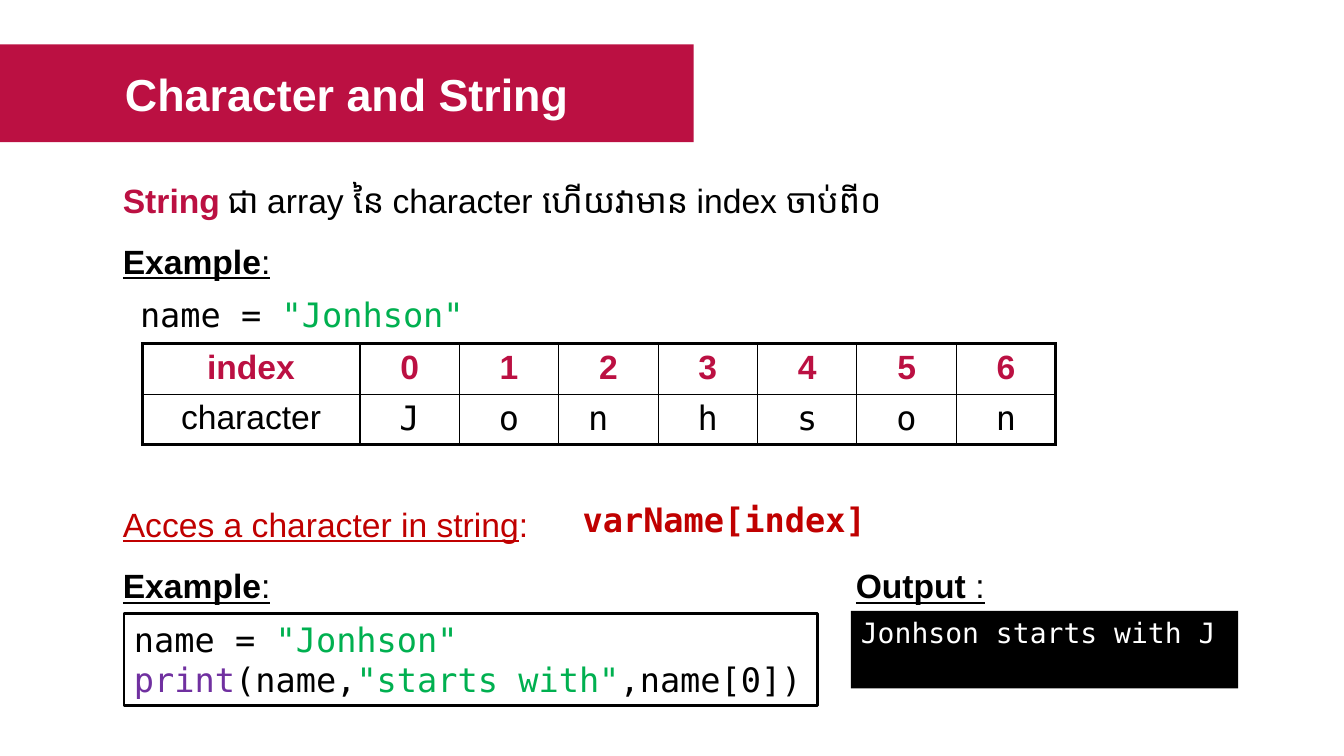
from pptx import Presentation
from pptx.dml.color import RGBColor
from pptx.enum.shapes import MSO_SHAPE
from pptx.enum.text import MSO_ANCHOR, PP_ALIGN
from pptx.oxml.ns import qn
from pptx.util import Inches, Pt
from lxml import etree

RECT = MSO_SHAPE.RECTANGLE
TOP, MIDDLE = MSO_ANCHOR.TOP, MSO_ANCHOR.MIDDLE
LEFT, CENTER, JUSTIFY = PP_ALIGN.LEFT, PP_ALIGN.CENTER, PP_ALIGN.JUSTIFY

SANS, MONO = "Arial", "DejaVu Sans Mono"
CRIMSON, RED, GREEN, PURPLE = "BB1042", "C00000", "00B050", "7030A0"
BLACK, WHITE = "000000", "FFFFFF"
THICK, THIN = 2.25, 1
MARGIN = 1.12

BODY = {"name": SANS, "size": Pt(24), "color": BLACK}
CODE = BODY | {"name": MONO}
HEADING = BODY | {"bold": True, "underline": True}
INDEX = BODY | {"color": CRIMSON, "bold": True}
ACCESS = BODY | {"color": RED}

ASSIGNMENT = [("name = ", CODE), ('"Jonhson"', CODE | {"color": GREEN})]
PRINT_CALL = [("print", CODE | {"color": PURPLE}), ("(name,", CODE),
              ('"starts with"', CODE | {"color": GREEN}), (",name[0])", CODE)]
LETTERS = ["J", "o", "n ", "h", "s", "o", "n"]


def rgb(hex_color):
    return RGBColor.from_string(hex_color)


def write(frame, lines, align=LEFT, spacing=None):
    """Fill a text frame; each line is a list of (text, format) runs."""
    frame.word_wrap = True
    for number, runs in enumerate(lines):
        paragraph = frame.paragraphs[0] if number == 0 else frame.add_paragraph()
        paragraph.alignment = align
        if spacing:
            paragraph.line_spacing = spacing
        for text, style in runs:
            run = paragraph.add_run()
            run.text = text
            for key, value in style.items():
                if key == "color":
                    run.font.color.rgb = rgb(value)
                else:
                    setattr(run.font, key, value)


def add_text(slide, place, runs, **layout):
    box = slide.shapes.add_textbox(*map(Inches, place))
    write(box.text_frame, [runs], **layout)


def add_panel(slide, place, lines, fill=None, outline=None, align=LEFT, anchor=TOP):
    panel = slide.shapes.add_shape(RECT, *map(Inches, place))
    panel.shadow.inherit = False
    if fill:
        panel.fill.solid()
        panel.fill.fore_color.rgb = rgb(fill)
    else:
        panel.fill.background()
    if outline:
        panel.line.color.rgb = rgb(outline)
        panel.line.width = Pt(2)
    else:
        panel.line.fill.background()
    panel.text_frame.vertical_anchor = anchor
    write(panel.text_frame, lines, align)


def add_heading(slide, left, top, width, label):
    add_text(slide, (left, top, width, 0.5),
             [(label, HEADING), (":", HEADING | {"bold": False})])


def set_borders(cell, widths):
    """Draw black cell borders; widths maps a side (L, R, T, B) to points."""
    properties = cell._tc.get_or_add_tcPr()
    for position, (side, width) in enumerate(widths.items()):
        line = etree.Element(qn(f"a:ln{side}"), w=str(Pt(width)))
        fill = etree.SubElement(line, qn("a:solidFill"))
        etree.SubElement(fill, qn("a:srgbClr"), val=BLACK)
        properties.insert(position, line)


def add_index_table(slide):
    rows = [
        [("index", INDEX)] + [(str(i), INDEX) for i in range(len(LETTERS))],
        [("character", BODY)] + [(letter, CODE) for letter in LETTERS],
    ]
    last_row, last_column = len(rows) - 1, len(LETTERS)
    table = slide.shapes.add_table(len(rows), last_column + 1, Inches(1.41),
                                   Inches(3.41), Inches(9.06), Inches(1)).table
    for number, column in enumerate(table.columns):
        column.width = Inches(0.986 if number else 2.16)
    for r, entries in enumerate(rows):
        for c, entry in enumerate(entries):
            cell = table.cell(r, c)
            cell.fill.background()
            set_borders(cell, {
                "L": THICK if c == 0 else THIN,
                "R": THICK if c == last_column else THIN,
                "T": THICK if r == 0 else THIN,
                "B": THICK if r == last_row else THIN,
            })
            write(cell.text_frame, [[entry]], CENTER)


def main():
    deck = Presentation()
    deck.slide_width, deck.slide_height = Inches(13.33), Inches(7.5)
    slide = deck.slides.add_slide(deck.slide_layouts[6])

    title = BODY | {"size": Pt(32), "color": WHITE, "bold": True}
    add_panel(slide, (0, 0.44, 6.88, 0.97), [[("Character and String", title)]],
              fill=CRIMSON, align=CENTER, anchor=MIDDLE)

    add_text(slide, (MARGIN, 1.54, 10.92, 0.66),
             [("String", INDEX), (" ", BODY | {"size": Pt(20), "bold": True}),
              ("ជា array នៃ character ហើយវាមាន index ចាប់ពី០", BODY)],
             align=JUSTIFY, spacing=1.5)
    add_heading(slide, MARGIN, 2.34, 3.83, "Example")
    add_text(slide, (1.29, 2.87, 5.95, 0.5), ASSIGNMENT)
    add_index_table(slide)

    add_text(slide, (MARGIN, 4.75, 10.92, 0.66),
             [("Acces a character in string", ACCESS | {"underline": True}),
              (":", ACCESS)], align=JUSTIFY, spacing=1.5)
    add_text(slide, (5.68, 4.9, 4.65, 0.5),
             [("varName[index]", CODE | {"color": RED, "bold": True})])

    add_heading(slide, MARGIN, 5.56, 2.39, "Example")
    add_panel(slide, (1.23, 6.09, 6.88, 0.91), [ASSIGNMENT, PRINT_CALL],
              outline=BLACK)
    add_heading(slide, 8.39, 5.56, 1.7, "Output ")
    console = CODE | {"size": Pt(20), "color": WHITE}
    add_panel(slide, (8.44, 6.06, 3.84, 0.77),
              [[("Jonhson starts with J", console)]], fill=BLACK)

    deck.save("out.pptx")


if __name__ == "__main__":
    main()
